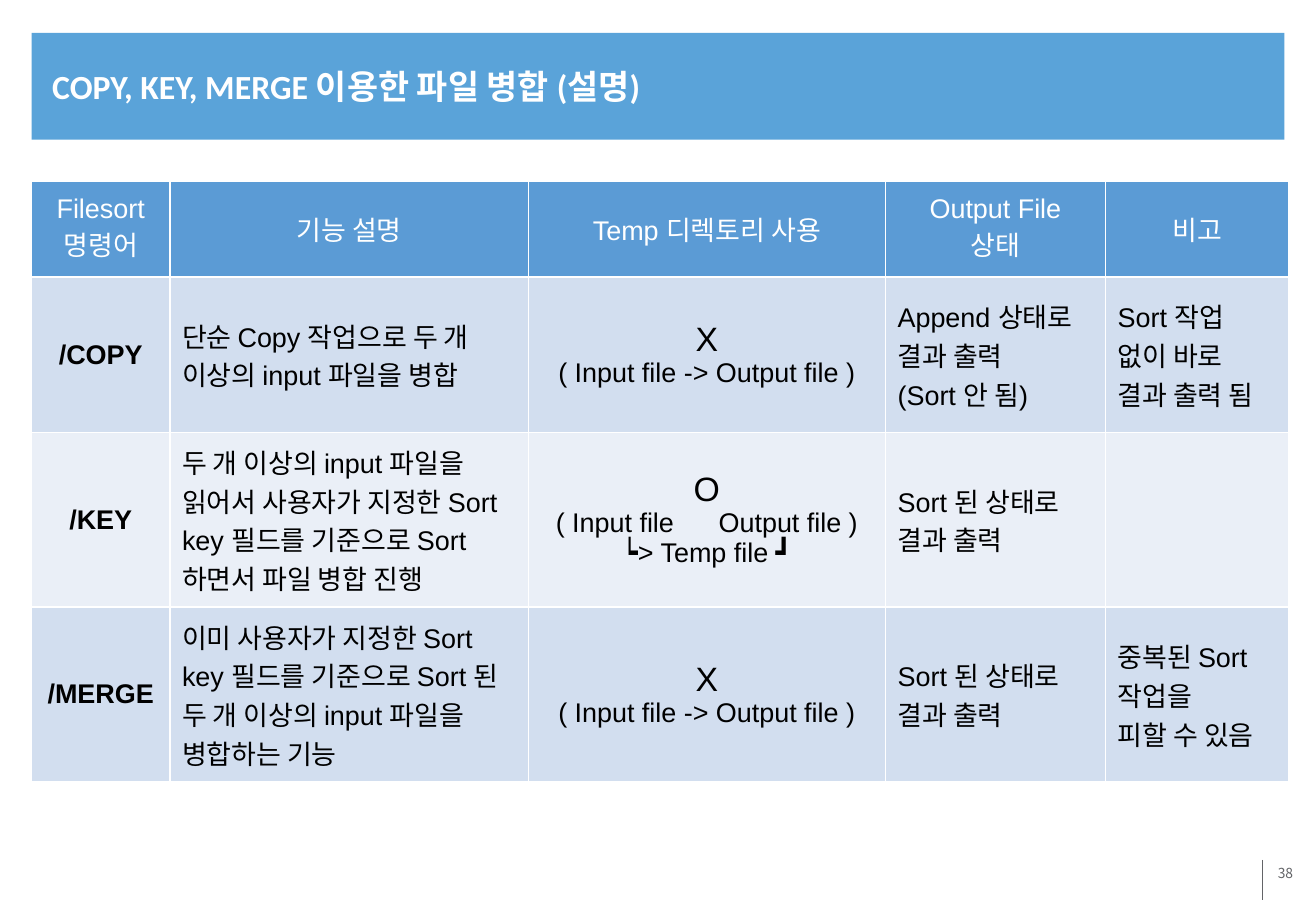
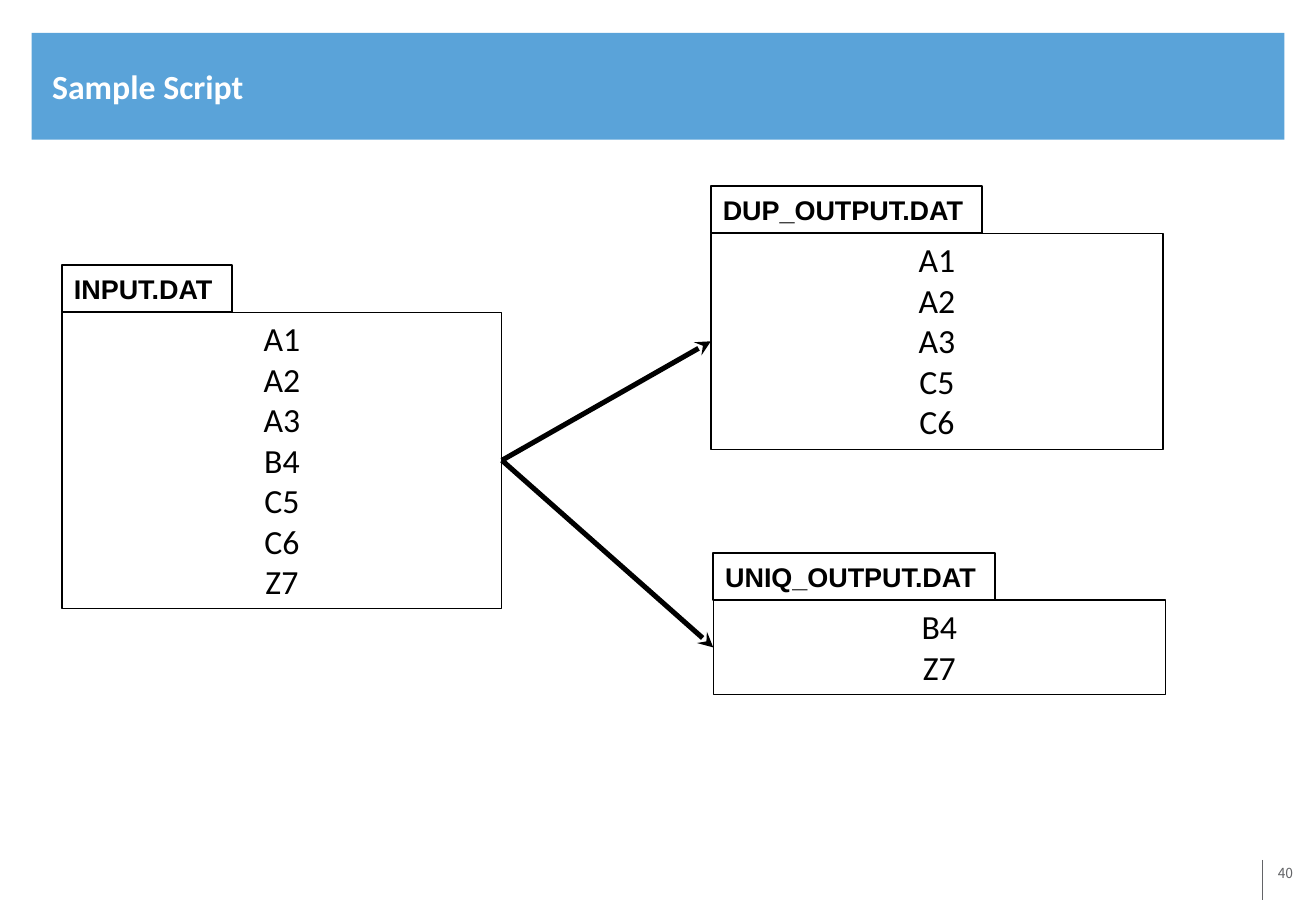
from lxml import etree
from pptx import Presentation, util as u
from pptx.dml.color import RGBColor
from pptx.enum import shapes, text
from pptx.oxml.ns import qn

WIDTH, HEIGHT = u.Inches(10.83), u.Inches(7.5)

WHITE = RGBColor(0xFF, 0xFF, 0xFF)
BLACK = RGBColor(0, 0, 0)
BAND_BLUE = RGBColor(0x5A, 0xA3, 0xD9)
HEADER_BLUE = RGBColor(0x5B, 0x9B, 0xD5)
ROW_FILLS = [RGBColor(0xEA, 0xEF, 0xF7), RGBColor(0xD2, 0xDE, 0xEF)]
FOOTER_GREY = RGBColor(0x63, 0x64, 0x67)
KOREAN_FONT = "Noto Sans CJK KR"

LEFT, CENTER, RIGHT = text.PP_ALIGN.LEFT, text.PP_ALIGN.CENTER, text.PP_ALIGN.RIGHT
TOP, MIDDLE = text.MSO_ANCHOR.TOP, text.MSO_ANCHOR.MIDDLE

# Table content: a tab stands for one widened space
HEADERS = ["Filesort\n명령어", "기능 설명", "Temp 디렉토리 사용", "Output File\n상태", "비고"]
DIRECT = "X\n( Input file -> Output file )"
VIA_TEMP = "O\n( Input file\tOutput file )\n┕> Temp file ┛"
SORTED = "Sort 된 상태로\n결과 출력"
COMMANDS = [
    ["/COPY", "단순 Copy 작업으로 두 개\n이상의 input 파일을 병합", DIRECT,
     "Append 상태로\n결과 출력\n(Sort 안 됨)", "Sort 작업 없이 바로\n결과 출력 됨"],
    ["/KEY", "두 개 이상의 input 파일을\n읽어서 사용자가 지정한 Sort key 필드를 "
     "기준으로 Sort하면서 파일 병합 진행", VIA_TEMP, SORTED, ""],
    ["/MERGE", "이미 사용자가 지정한 Sort key 필드를 기준으로 Sort 된 두 개 이상의 "
     "input 파일을 병합하는 기능", DIRECT, SORTED, "중복된 Sort 작업을\n피할 수 있음"],
]
COLUMN_SHARES = [11, 28.5, 28.4, 17.5, 14.6]
ROW_SHARES = [16, 25.8, 29.1, 29.1]
COMMAND_COLUMN, TEMP_COLUMN = 0, 2


def across(percent):
    return int(WIDTH * percent / 100)


def down(percent):
    return int(HEIGHT * percent / 100)


def area(left, top, width, height):
    """Turn percentages of the slide into lengths."""
    return across(left), down(top), across(width), down(height)


def format_runs(paragraph, size, font, color, bold=False):
    for run in paragraph.runs:
        run.font.size = u.Pt(size)
        run.font.name = font
        run.font.bold = bold
        run.font.color.rgb = color
        east_asian = etree.SubElement(run.font._element, qn("a:ea"))
        east_asian.set("typeface", KOREAN_FONT)


def widen_space(paragraph):
    """Replace a tab by a single space with extra letter spacing."""
    before, after = paragraph.text.split("\t")
    paragraph.text = before
    gap = paragraph.add_run()
    gap.text = " "
    gap.font._element.set("spc", "2200")
    paragraph.add_run().text = after


def write(frame, content, size, font, color, bold=False, align=LEFT):
    frame.text = content
    for paragraph in frame.paragraphs:
        if "\t" in paragraph.text:
            widen_space(paragraph)
        paragraph.alignment = align
        format_runs(paragraph, size, font, color, bold)


def add_text(slide, place, content, size, font, color, bold=False, align=LEFT, anchor=TOP):
    frame = slide.shapes.add_textbox(*place).text_frame
    frame.word_wrap = True
    frame.vertical_anchor = anchor
    write(frame, content, size, font, color, bold, align)
    return frame


def add_rectangle(slide, place, fill=None, line_width=None):
    shape = slide.shapes.add_shape(shapes.MSO_SHAPE.RECTANGLE, *place)
    shape.shadow.inherit = False
    if fill is None:
        shape.fill.background()
    else:
        shape.fill.solid()
        shape.fill.fore_color.rgb = fill
    if line_width is None:
        shape.line.fill.background()
    else:
        shape.line.color.rgb = BLACK
        shape.line.width = u.Pt(line_width)
    return shape


def add_line(slide, start, end, color, width):
    line = slide.shapes.add_connector(shapes.MSO_CONNECTOR.STRAIGHT, *start, *end)
    line.line.color.rgb = color
    line.line.width = u.Pt(width)
    etree.SubElement(line._element.spPr, qn("a:effectLst"))
    return line


def add_arrow(slide, source, target):
    """Join the right side of one box to the left side of another."""
    arrow = add_line(slide, (0, 0), (0, 0), BLACK, 3)
    arrow.begin_connect(source, 3)
    arrow.end_connect(target, 1)
    etree.SubElement(arrow.line._get_or_add_ln(), qn("a:tailEnd"), type="stealth")


def add_page(presentation, title, number):
    """Add a slide with the shared band, title and footer."""
    slide = presentation.slides.add_slide(presentation.slide_layouts[6])
    add_rectangle(slide, area(2.4, 3.6, 95.2, 11.73), BAND_BLUE)
    footer = add_text(slide, area(82, 94.4, 16.9, 4.4), str(number), 8.2,
                      KOREAN_FONT, FOOTER_GREY, align=RIGHT)
    footer.margin_left = footer.margin_right = u.Inches(0.07)
    footer.margin_top = footer.margin_bottom = u.Inches(0.04)
    add_line(slide, (across(95.94), down(94.4)), (across(95.94), down(98.8)),
             FOOTER_GREY, 0.75)
    add_text(slide, area(3.05, 4.13, 94.18, 10.53), title, 20, "Calibri", WHITE,
             bold=True, anchor=MIDDLE)
    return slide


def style_cell(cell, fill):
    properties = cell._tc.get_or_add_tcPr()
    for side in ("a:lnL", "a:lnR", "a:lnT", "a:lnB"):
        border = etree.SubElement(properties, qn(side), w=str(u.Pt(1)))
        solid = etree.SubElement(border, qn("a:solidFill"))
        etree.SubElement(solid, qn("a:srgbClr"), val=str(WHITE))
    cell.fill.solid()
    cell.fill.fore_color.rgb = fill
    cell.vertical_anchor = MIDDLE


def add_command_table(slide, place):
    rows = [HEADERS] + COMMANDS
    table = slide.shapes.add_table(len(rows), len(HEADERS), *place).table
    for column, share in zip(table.columns, COLUMN_SHARES):
        column.width = int(place[2] * share / 100)
    for row, share in zip(table.rows, ROW_SHARES):
        row.height = int(place[3] * share / 100)

    for i, row in enumerate(rows):
        header = i == 0
        for j, content in enumerate(row):
            cell = table.cell(i, j)
            style_cell(cell, HEADER_BLUE if header else ROW_FILLS[i % 2])
            centered = header or j in (COMMAND_COLUMN, TEMP_COLUMN)
            write(cell.text_frame, content, 16, "Arial", WHITE if header else BLACK,
                  bold=not header and j == COMMAND_COLUMN,
                  align=CENTER if centered else LEFT)
            if j == TEMP_COLUMN and not header:
                cell.text_frame.paragraphs[0].runs[0].font.size = u.Pt(20)


def add_file(slide, name, records, place, tab_width):
    """Draw a box of records with a name tab on top; return the box."""
    left, top, width, height = place
    tab_height = 5.15
    box = add_rectangle(slide, area(*place), line_width=0.75)
    box.text_frame.vertical_anchor = TOP
    write(box.text_frame, "\n".join(records), 20, "Calibri", BLACK, align=CENTER)
    tab = add_rectangle(slide, area(left, top - tab_height, tab_width, tab_height),
                        line_width=1)
    write(tab.text_frame, name, 16, "Arial", BLACK, bold=True)
    return box


def main():
    presentation = Presentation()
    presentation.slide_width, presentation.slide_height = WIDTH, HEIGHT

    # Comparison of the commands
    slide = add_page(presentation, "COPY, KEY, MERGE 이용한 파일 병합 (설명)", 38)
    add_command_table(slide, area(2.4, 19.87, 95.57, 66))

    # Input file split into two outputs
    slide = add_page(presentation, "Sample Script", 40)
    source = add_file(slide, "INPUT.DAT", ["A1", "A2", "A3", "B4", "C5", "C6", "Z7"],
                      (4.71, 34.27, 33.43, 32.53), 12.93)
    duplicates = add_file(slide, "DUP_OUTPUT.DAT", ["A1", "A2", "A3", "C5", "C6"],
                          (54.02, 25.6, 34.35, 23.73), 20.59)
    uniques = add_file(slide, "UNIQ_OUTPUT.DAT", ["B4", "Z7"],
                       (54.2, 65.87, 34.35, 10.4), 21.42)
    for target in (duplicates, uniques):
        add_arrow(slide, source, target)

    presentation.save("out.pptx")


main()
